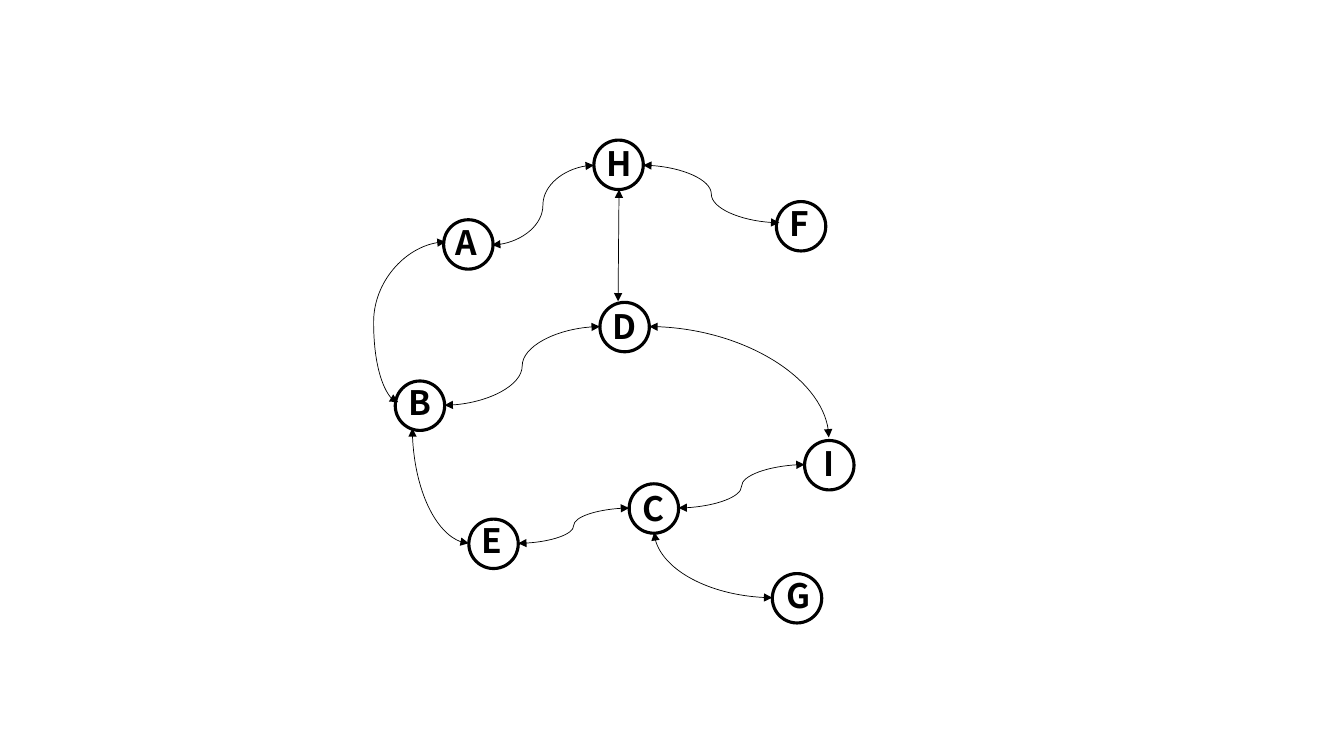
from dataclasses import dataclass

from lxml.etree import SubElement
from pptx import Presentation
from pptx.dml.color import RGBColor
from pptx.enum.shapes import MSO_CONNECTOR as Route, MSO_SHAPE as Preset
from pptx.enum.text import MSO_AUTO_SIZE as AutoSize
from pptx.oxml.ns import qn
from pptx.shapes.shapetree import SlideShapes
from pptx.util import Inches, Pt

COLORS = {"ink": "000000"}
INK = RGBColor.from_string(COLORS["ink"])
FONT = "Noto Sans CJK SC"
DIAMETER = 0.49
LABEL_WIDTH, LABEL_HEIGHT = 0.3, 0.5


@dataclass(frozen=True)
class Node:
    """A circled letter; the shifts place its label against the circle."""
    letter: str
    left: float
    top: float
    shift_x: float = 0.03
    shift_y: float = -0.04


@dataclass(frozen=True)
class Link:
    """A two-way link; bend is the curve's middle as a share of its width."""
    start: tuple[float, float]
    end: tuple[float, float]
    preset: str = "curvedConnector3"
    bend: float = 0.5


QUARTER = "curvedConnector2"
STRAIGHT = "straightConnector1"

NODES = [
    Node("A", 4.4, 2.18, 0.02, -0.03),
    Node("B", 3.92, 3.78),
    Node("D", 5.95, 3.0, shift_y=-0.01),
    Node("I", 7.98, 4.37, 0.09, -0.03),
    Node("H", 5.89, 1.39, shift_y=-0.02),
    Node("C", 6.24, 4.8, shift_y=-0.01),
    Node("E", 4.65, 5.15),
    Node("F", 7.7, 2.0),
    Node("G", 7.66, 5.69, 0.04),
]

LINKS = [
    Link((4.88, 2.43), (5.89, 1.64)),  # A - H
    Link((6.14, 1.88), (6.13, 2.99), STRAIGHT),  # H - D
    Link((5.95, 3.24), (4.41, 4.02)),  # D - B
    Link((3.95, 3.99), (4.42, 2.4), bend=-0.52),  # B - A
    Link((6.24, 5.04), (5.14, 5.39)),  # C - E
    Link((6.73, 5.04), (7.98, 4.61)),  # C - I
    Link((4.65, 5.39), (4.09, 4.25), QUARTER),  # E - B
    Link((7.73, 2.21), (6.38, 1.64)),  # F - H
    Link((6.44, 3.24), (8.22, 4.34), QUARTER),  # D - I
    Link((7.66, 5.93), (6.49, 5.28), QUARTER),  # G - C
]


def draw_node(shapes: SlideShapes, node: Node) -> None:
    """Draw a node's circle and its letter."""
    circle = shapes.add_shape(Preset.OVAL, Inches(node.left), Inches(node.top),
                              Inches(DIAMETER), Inches(DIAMETER))
    circle.shadow.inherit = False
    circle.fill.background()
    circle.line.color.rgb = INK
    circle.line.width = Pt(2.25)

    label = shapes.add_textbox(
        Inches(node.left + node.shift_x), Inches(node.top + node.shift_y),
        Inches(LABEL_WIDTH), Inches(LABEL_HEIGHT)).text_frame
    label.word_wrap = True
    label.auto_size = AutoSize.SHAPE_TO_FIT_TEXT
    letter = label.paragraphs[0].add_run()
    letter.text = node.letter
    letter.font.name = FONT
    letter.font.size = Pt(24)
    letter.font.bold = True
    letter.font.color.rgb = INK
    SubElement(letter.font._element, qn("a:ea")).set("typeface", FONT)


def draw_link(shapes: SlideShapes, link: Link) -> None:
    """Draw a thin link with an arrowhead at each end."""
    curve = shapes.add_connector(Route.CURVE, *map(Inches, link.start + link.end))
    curve.line.color.rgb = INK
    curve.line.width = Pt(0.5)
    properties = curve._element.spPr
    outline = properties.find(qn("a:ln"))
    for end in ("a:headEnd", "a:tailEnd"):
        SubElement(outline, qn(end)).set("type", "triangle")
    SubElement(properties, qn("a:effectLst"))

    geometry = properties.find(qn("a:prstGeom"))
    geometry.set("prst", link.preset)
    if link.preset == "curvedConnector3":
        guide = SubElement(geometry.find(qn("a:avLst")), qn("a:gd"))
        guide.set("name", "adj1")
        guide.set("fmla", f"val {round(link.bend * 100000)}")


def main() -> None:
    """Build the graph slide and save it."""
    deck = Presentation()
    deck.slide_width, deck.slide_height = Inches(13.33), Inches(7.5)
    slide = deck.slides.add_slide(deck.slide_layouts[6])
    for node in NODES:
        draw_node(slide.shapes, node)
    for link in LINKS:
        draw_link(slide.shapes, link)
    deck.save("out.pptx")


main()
